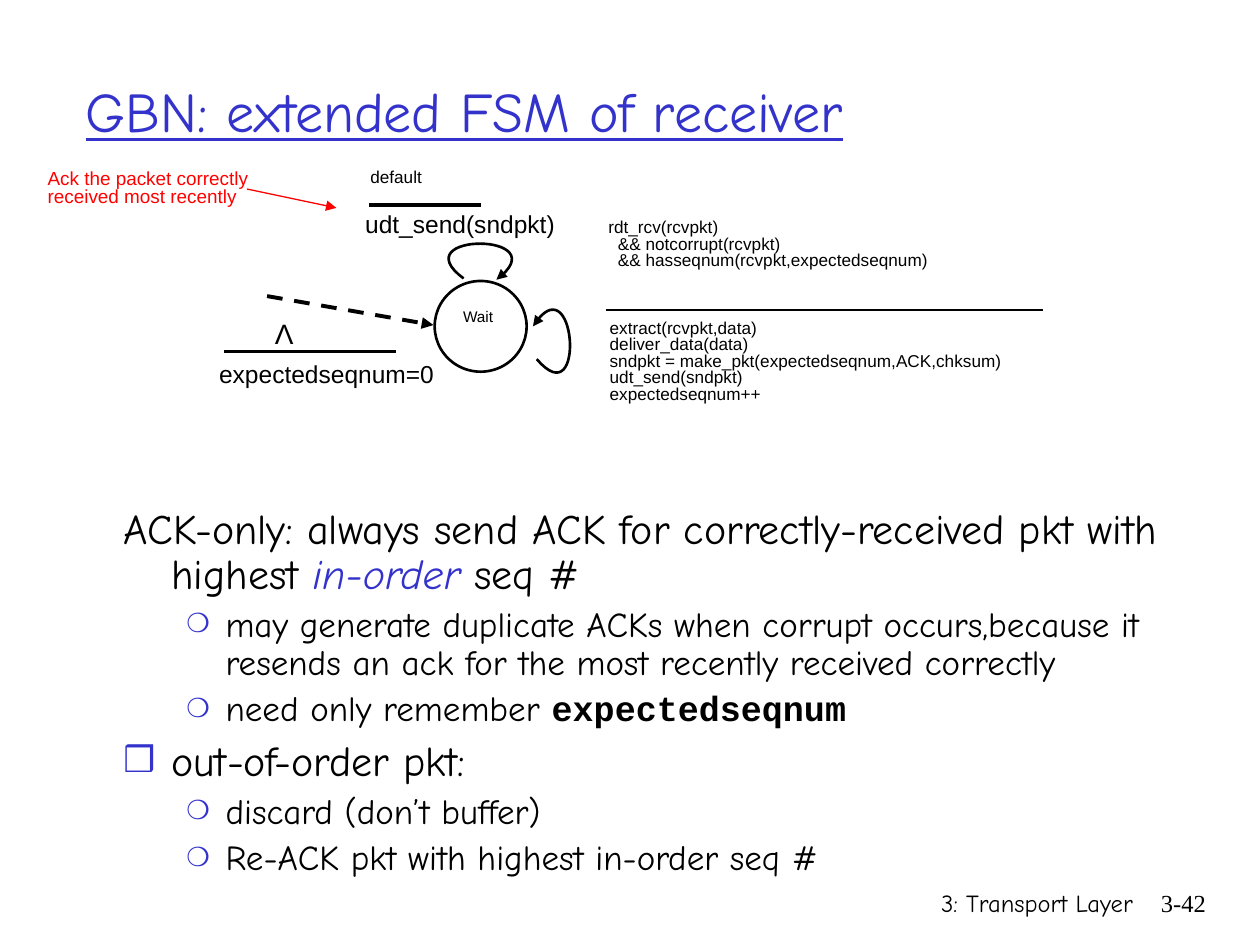
from pptx import Presentation
from pptx.dml.color import RGBColor
from pptx.enum.dml import MSO_LINE
from pptx.enum.shapes import MSO_CONNECTOR, MSO_SHAPE
from pptx.enum.text import MSO_ANCHOR, MSO_AUTO_SIZE, PP_ALIGN
from pptx.oxml import parse_xml
from pptx.oxml.ns import nsdecls, qn
from pptx.util import Inches, Pt

BLACK, BLUE, RED = "000000", "3333CC", "FF0000"
COMIC = "Comic Neue"
LEFT, MID, RIGHT = PP_ALIGN.LEFT, PP_ALIGN.CENTER, PP_ALIGN.RIGHT


def write(para, text, size=14, font="Arial", color=BLACK, bold=False, italic=False, line=False):
    run = para.add_run()
    run.text = text
    face = run.font
    face.size, face.name = Pt(size), font
    face.bold, face.italic, face.underline = bold, italic, line
    face.color.rgb = RGBColor.from_string(color)


def stroke(shape, width, color=BLACK, arrow=True, dash=False):
    """Style an outline, and drop the theme shadow."""
    shape.line.color.rgb = RGBColor.from_string(color)
    shape.line.width = Pt(width)
    if dash:
        shape.line.dash_style = MSO_LINE.DASH
    props = shape.element.spPr
    if arrow:
        tail = parse_xml(f'<a:tailEnd {nsdecls("a")} type="triangle"/>')
        props.find(qn("a:ln")).append(tail)
    props.append(parse_xml(f'<a:effectLst {nsdecls("a")}/>'))


deck = Presentation()
deck.slide_width, deck.slide_height = Inches(10), Inches(7.5)
slide = deck.slides.add_slide(deck.slide_layouts[1])
shapes = slide.shapes

# Title and body
title, body = shapes.title, slide.placeholders[1]
for holder, spot in ((title, (0.58, 0.25, 8.5, 1.25)), (body, (0.88, 3.98, 8.91, 3.12))):
    holder.left, holder.top, holder.width, holder.height = map(Inches, spot)
    holder.text_frame.auto_size = MSO_AUTO_SIZE.NONE
title.text_frame.vertical_anchor = MSO_ANCHOR.MIDDLE
head = title.text_frame.paragraphs[0]
head.alignment = LEFT
write(head, "GBN: extended FSM of receiver", size=32, font=COMIC, color=BLUE, line=True)

blue = {"color": BLUE, "italic": True}
code = {"font": "Courier New", "bold": True}
points = [
    (0, "", [("ACK-only: always send ACK for correctly-received pkt with highest ", {}),
             ("in-order", blue), (" seq #", {})]),
    (1, "❍", [("may generate duplicate ACKs when corrupt occurs,because it resends "
               "an ack for the most recently received correctly", {})]),
    (1, "❍", [("need only remember ", {}), ("expectedseqnum", code)]),
    (0, "❒", [("out-of-order pkt:", {})]),
    (1, "❍", [("discard (don’t buffer)", {})]),
    (1, "❍", [("Re-ACK pkt with highest in-order seq #", {})]),
]
levels = [(0.38, 0.38, 24, 6, 85), (0.81, 0.31, 20, 5, 75)]  # margin, hang, size, gap, bullet %
frame = body.text_frame
for i, (level, mark, runs) in enumerate(points):
    margin, hang, size, gap, scale = levels[level]
    para = frame.add_paragraph() if i else frame.paragraphs[0]
    para.level = level
    props = para._p.get_or_add_pPr()
    props.set("marL", str(Inches(margin)))
    props.set("indent", str(-Inches(hang)))
    if mark:
        bits = [f'<a:buClr {nsdecls("a")}><a:srgbClr val="{BLUE}"/></a:buClr>',
                f'<a:buSzPct {nsdecls("a")} val="{scale * 1000}"/>',
                f'<a:buChar {nsdecls("a")} char="{mark}"/>']
    else:
        bits = [f'<a:buNone {nsdecls("a")}/>']
    for bit in bits:
        props.append(parse_xml(bit))
    para.line_spacing, para.space_before = 0.9, Pt(gap if i else 0)
    for text, form in runs:
        write(para, text, **{"size": size, "font": COMIC, **form})

# State circle
state = shapes.add_shape(MSO_SHAPE.OVAL, *map(Inches, (3.45, 2.23, 0.73, 0.72)))
state.fill.solid()
state.fill.fore_color.rgb = RGBColor.from_string("FFFFFF")
stroke(state, 1.5, arrow=False)

# Labels: place, line spacing, alignment, lines, format
small = {"size": 9.8}
labels = [
    ((5.92, 7, 3.17, 0.5), 1, RIGHT, ["3: Transport Layer"], {"font": COMIC}),
    ((8.93, 7, 0.74, 0.5), 1, RIGHT, ["3-42"], {"font": "Times New Roman"}),
    ((3.36, 2.42, 0.87, 0.26), 0.8, MID, ["Wait"], {"size": 8.8}),
    ((2.8, 1.61, 1.77, 0.34), 1, LEFT, ["udt_send(sndpkt)"], {}),
    ((2.84, 1.3, 0.79, 0.27), 0.8, LEFT, ["default"], small),
    ((4.73, 1.7, 3.9, 0.62), 0.8, LEFT,
     ["rdt_rcv(rcvpkt)", "  && notcorrupt(rcvpkt)",
      "  && hasseqnum(rcvpkt,expectedseqnum)"], small),
    ((4.74, 2.5, 4.72, 0.94), 0.8, LEFT,
     ["extract(rcvpkt,data)", "deliver_data(data)",
      "sndpkt = make_pkt(expectedseqnum,ACK,chksum)",
      "udt_send(sndpkt)", "expectedseqnum++"], small),
    ((1.64, 2.8, 2.08, 0.43), 1, LEFT, ["expectedseqnum=0"], {}),
    ((2.08, 2.46, 0.35, 0.37), 1, MID, ["Λ"], {"size": 16}),
    ((0.28, 1.31, 2.16, 0.49), 0.8, LEFT,
     ["Ack the packet correctly received most recently"], {"size": 10.8, "color": RED}),
]
for spot, space, align, lines, form in labels:
    frame = shapes.add_textbox(*map(Inches, spot)).text_frame
    frame.word_wrap = True
    for i, text in enumerate(lines):
        para = frame.add_paragraph() if i else frame.paragraphs[0]
        para.line_spacing, para.alignment = space, align
        write(para, text, **form)

# Rules and arrows
plain = {"arrow": False}
for ends, width, form in [
    ((2.12, 2.35, 3.44, 2.58), 2.25, {"dash": True}),
    ((2.93, 1.63, 3.82, 1.63), 2.25, plain),
    ((4.81, 2.46, 8.28, 2.46), 1.5, plain),
    ((1.78, 2.79, 3.14, 2.79), 2.25, plain),
    ((1.96, 1.5, 2.67, 1.65), 0.75, {"color": RED}),
]:
    stroke(shapes.add_connector(MSO_CONNECTOR.STRAIGHT, *map(Inches, ends)), width, **form)

# Self loops, each a cubic curve through sampled points
STEPS = 32
for curve in [
    ((4.26, 2.85), (4.66, 3.32), (4.57, 2.06), (4.23, 2.59)),
    ((3.68, 2.21), (3.18, 1.84), (4.45, 1.84), (3.94, 2.22)),
]:
    dots = []
    for step in range(STEPS + 1):
        t = step / STEPS
        parts = ((1 - t) ** 3, 3 * t * (1 - t) ** 2, 3 * t * t * (1 - t), t ** 3)
        dots.append([Inches(sum(w * p[axis] for w, p in zip(parts, curve))) for axis in (0, 1)])
    pen = shapes.build_freeform(*dots[0])
    pen.add_line_segments(dots[1:], close=False)
    loop = pen.convert_to_shape()
    loop.fill.background()
    stroke(loop, 1.5)

deck.save("out.pptx")
